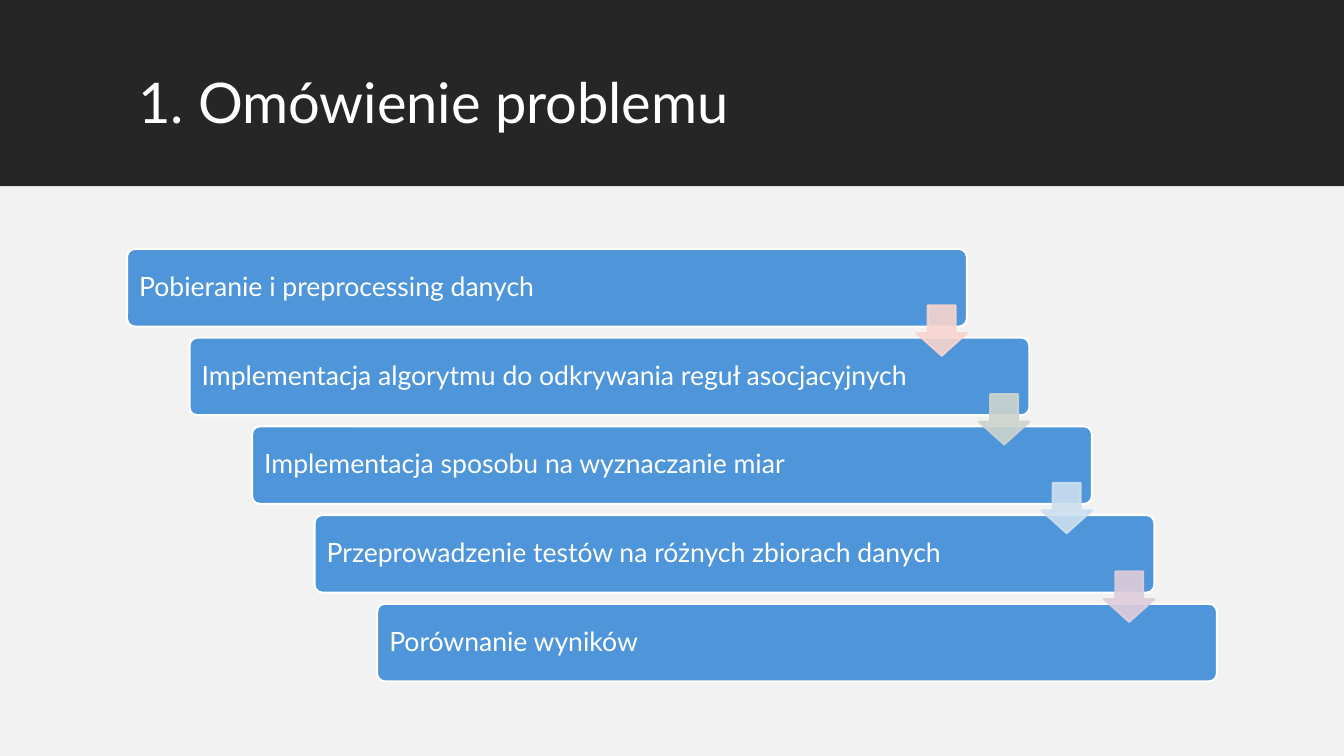
from dataclasses import dataclass

from lxml.etree import SubElement
from pptx import Presentation
from pptx.dml.color import RGBColor
from pptx.enum.shapes import MSO_SHAPE
from pptx.enum.text import MSO_ANCHOR, MSO_AUTO_SIZE, PP_ALIGN
from pptx.oxml.ns import qn
from pptx.shapes.autoshape import Shape
from pptx.slide import Slide
from pptx.text.text import TextFrame
from pptx.util import Inches, Pt

COLORS = {
    "header": "262626",
    "panel": "F2F2F2",
    "bar": "4E95D9",
    "white": "FFFFFF",
    "rose": "F7D5CE",
    "sage": "CCD4CD",
    "sky": "CCDFEF",
    "mauve": "DFCDDC",
}
FONT = "Lato"
SLIDE_WIDTH, SLIDE_HEIGHT = 13.33, 7.5
HEADER_HEIGHT = 1.85

# Staircase grid: each step moves one column right and one row down
STAIR_LEFT, STAIR_TOP = 1.26, 2.47
COLUMN, ROW = 0.62, 0.88
BAR_WIDTH, BAR_HEIGHT = 8.33, 0.77
ARROW_SIZE, ARROW_DROP = 0.5, 0.56


@dataclass(frozen=True)
class Step:
    text: str
    arrow_color: str | None = None


STEPS = [
    Step("Pobieranie i preprocessing danych", "rose"),
    Step("Implementacja algorytmu do odkrywania reguł asocjacyjnych", "sage"),
    Step("Implementacja sposobu na wyznaczanie miar", "sky"),
    Step("Przeprowadzenie testów na różnych zbiorach danych", "mauve"),
    Step("Porównanie wyników"),
]


def add_block(slide: Slide, kind: MSO_SHAPE, left: float, top: float, width: float,
              height: float, fill: str, line: str | None = None,
              adjustments: tuple[float, ...] = ()) -> Shape:
    shape = slide.shapes.add_shape(
        kind, Inches(left), Inches(top), Inches(width), Inches(height))
    shape.shadow.inherit = False
    shape.fill.solid()
    shape.fill.fore_color.rgb = RGBColor.from_string(COLORS[fill])
    if line:
        shape.line.color.rgb = RGBColor.from_string(COLORS[line])
        shape.line.width = Pt(1.5)
    else:
        shape.line.fill.background()
    for index, value in enumerate(adjustments):
        shape.adjustments[index] = value
    return shape


def write_text(frame: TextFrame, text: str, *, size: float, color: str = "white",
               anchor: MSO_ANCHOR = MSO_ANCHOR.MIDDLE, inset: float = 0.1) -> None:
    frame.word_wrap = True
    frame.auto_size = MSO_AUTO_SIZE.NONE
    frame.vertical_anchor = anchor
    frame.margin_left = frame.margin_right = Inches(inset)
    paragraph = frame.paragraphs[0]
    paragraph.alignment = PP_ALIGN.LEFT
    paragraph.line_spacing = 0.9
    run = paragraph.add_run()
    run.text = text
    run.font.name = FONT
    run.font.size = Pt(size)
    run.font.color.rgb = RGBColor.from_string(COLORS[color])


def set_opacity(shape: Shape, percent: int) -> None:
    for color in shape.element.spPr.iter(qn("a:srgbClr")):
        SubElement(color, qn("a:alpha"), val=str(percent * 1000))


def add_step(slide: Slide, index: int, step: Step) -> None:
    bar = add_block(slide, MSO_SHAPE.ROUNDED_RECTANGLE,
                    STAIR_LEFT + index * COLUMN, STAIR_TOP + index * ROW,
                    BAR_WIDTH, BAR_HEIGHT, "bar", "white", (0.1,))
    write_text(bar.text_frame, step.text, size=19)


def add_step_arrow(slide: Slide, index: int, color: str) -> None:
    arrow = add_block(slide, MSO_SHAPE.DOWN_ARROW,
                      STAIR_LEFT + index * COLUMN + BAR_WIDTH - ARROW_SIZE,
                      STAIR_TOP + index * ROW + ARROW_DROP,
                      ARROW_SIZE, ARROW_SIZE, color, color)
    # Head length first, then shaft width
    arrow.adjustments[0], arrow.adjustments[1] = 0.55, 0.45
    set_opacity(arrow, 90)


def main() -> None:
    presentation = Presentation()
    presentation.slide_width = Inches(SLIDE_WIDTH)
    presentation.slide_height = Inches(SLIDE_HEIGHT)
    slide = presentation.slides.add_slide(presentation.slide_layouts[5])

    # Header band behind the title
    title = slide.shapes.title
    header = add_block(slide, MSO_SHAPE.RECTANGLE, 0, 0,
                       SLIDE_WIDTH, HEADER_HEIGHT, "header")
    title.element.addprevious(header.element)
    title.left, title.top = Inches(1.27), Inches(0.7)
    title.width, title.height = Inches(10.81), Inches(0.98)
    write_text(title.text_frame, "1. Omówienie problemu", size=40,
               anchor=MSO_ANCHOR.TOP)

    # Content panel
    add_block(slide, MSO_SHAPE.RECTANGLE, 0, HEADER_HEIGHT,
              SLIDE_WIDTH, SLIDE_HEIGHT - HEADER_HEIGHT, "panel")

    # Steps, then the arrows over them
    for index, step in enumerate(STEPS):
        add_step(slide, index, step)
    for index, step in enumerate(STEPS):
        if step.arrow_color:
            add_step_arrow(slide, index, step.arrow_color)

    presentation.save("out.pptx")


if __name__ == "__main__":
    main()
